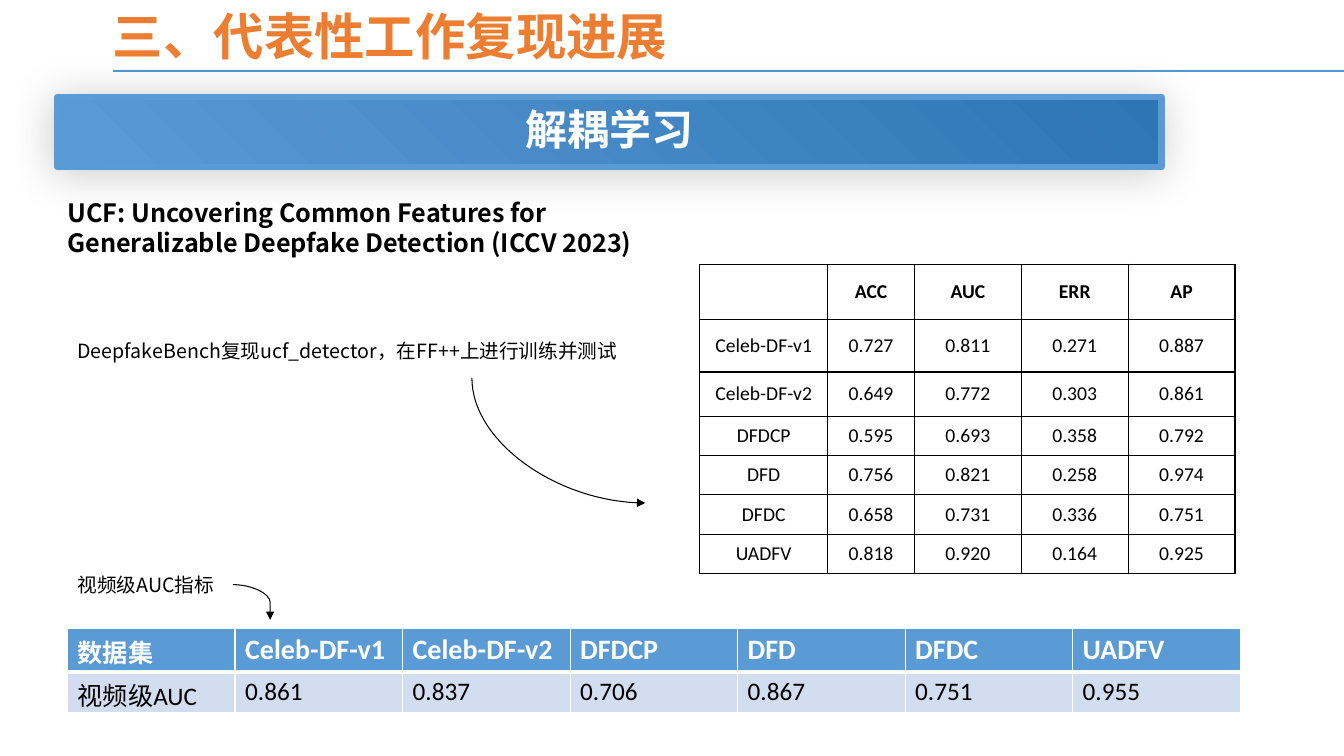
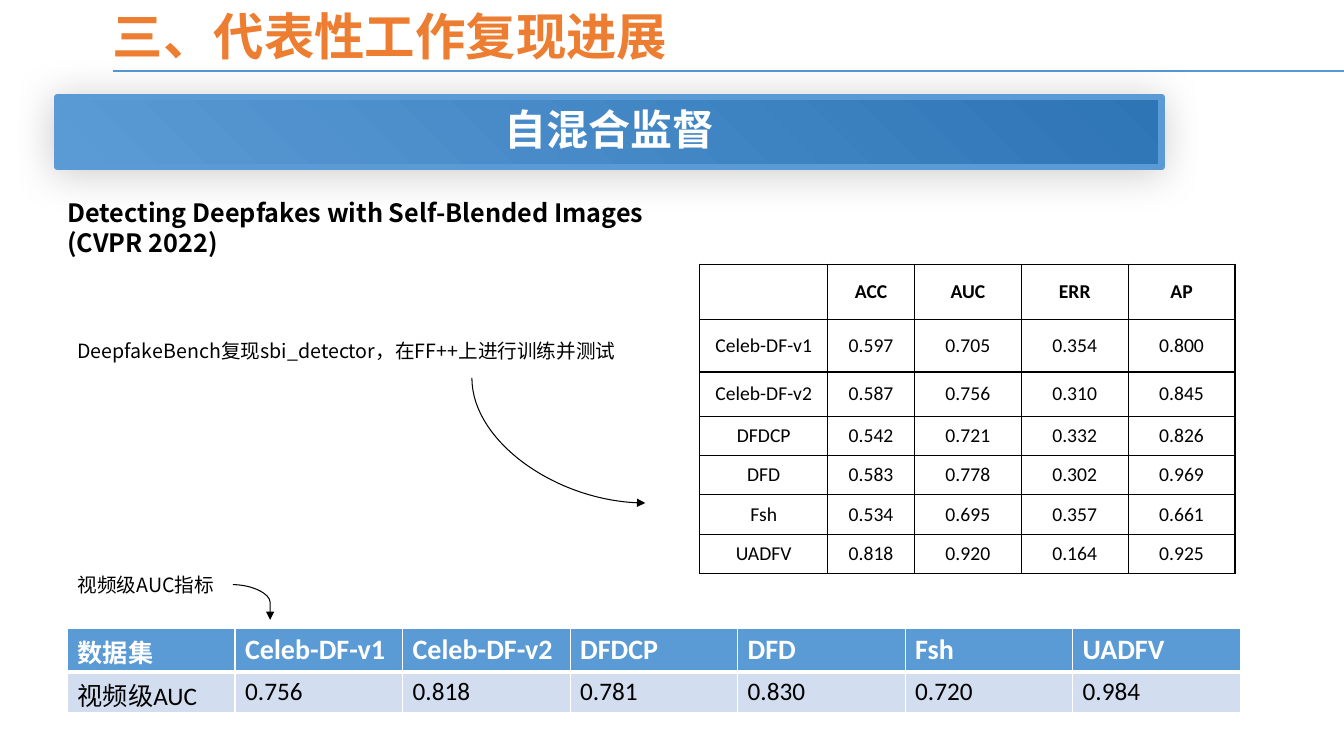
from dataclasses import dataclass
from typing import NamedTuple

from lxml.etree import SubElement
from pptx import Presentation
from pptx.dml.color import RGBColor
from pptx.enum.shapes import MSO_CONNECTOR as Link, MSO_SHAPE as Preset
from pptx.enum.text import MSO_ANCHOR as Anchor, MSO_AUTO_SIZE as AutoSize, PP_ALIGN as Align
from pptx.oxml.ns import qn
from pptx.util import Inches, Pt


@dataclass(frozen=True)
class Theme:
    """Colours, fonts and type sizes of the deck."""
    orange: str = "ED7D31"
    rule: str = "5698D3"
    blue: str = "5B9BD5"
    deep_blue: str = "2E75B6"
    pale_blue: str = "D2DEEF"
    white: str = "FFFFFF"
    black: str = "000000"
    title_font: str = "Arial"
    body_font: str = "Noto Sans CJK SC"
    table_font: str = "Calibri"
    title: int = 36
    band: int = 30
    dataset: int = 20
    paper: int = 18
    note: int = 14


THEME = Theme()


class Box(NamedTuple):
    """A region in inches."""
    left: float
    top: float
    width: float
    height: float

    def emu(self):
        """Return the four lengths for python-pptx."""
        return [Inches(length) for length in self]


@dataclass(frozen=True)
class Work:
    """One reproduced paper and its results."""
    topic: str
    paper: str
    detector: str
    datasets: list
    metrics: list
    video_auc: list


TITLE = "三、代表性工作复现进展"
METRICS = ["ACC", "AUC", "ERR", "AP"]
METRIC_COLUMNS = [1.27, 0.86, 1.06, 1.06, 1.06]
METRIC_ROWS = [0.55, 0.52, 0.44] + [0.39] * 4
UADFV = ["0.818", "0.920", "0.164", "0.925"]
WORKS = [
    Work(
        "解耦学习",
        "UCF: Uncovering Common Features for Generalizable Deepfake Detection (ICCV 2023)",
        "ucf_detector",
        ["Celeb-DF-v1", "Celeb-DF-v2", "DFDCP", "DFD", "DFDC", "UADFV"],
        [["0.727", "0.811", "0.271", "0.887"],
         ["0.649", "0.772", "0.303", "0.861"],
         ["0.595", "0.693", "0.358", "0.792"],
         ["0.756", "0.821", "0.258", "0.974"],
         ["0.658", "0.731", "0.336", "0.751"],
         UADFV],
        ["0.861", "0.837", "0.706", "0.867", "0.751", "0.955"],
    ),
    Work(
        "自混合监督",
        "Detecting Deepfakes with Self-Blended Images (CVPR 2022)",
        "sbi_detector",
        ["Celeb-DF-v1", "Celeb-DF-v2", "DFDCP", "DFD", "Fsh", "UADFV"],
        [["0.597", "0.705", "0.354", "0.800"],
         ["0.587", "0.756", "0.310", "0.845"],
         ["0.542", "0.721", "0.332", "0.826"],
         ["0.583", "0.778", "0.302", "0.969"],
         ["0.534", "0.695", "0.357", "0.661"],
         UADFV],
        ["0.756", "0.818", "0.781", "0.830", "0.720", "0.984"],
    ),
]


def rgb(colour):
    """Turn a theme colour into an RGBColor."""
    return RGBColor.from_string(colour)


def write(frame, words, size, font, colour, bold=False, align=Align.LEFT):
    """Put one formatted paragraph into a text frame."""
    paragraph = frame.paragraphs[0]
    paragraph.text = words
    paragraph.alignment = align
    for run in paragraph.runs:
        run.font.size = Pt(size)
        run.font.name = font
        run.font.bold = bold
        run.font.color.rgb = rgb(colour)
        SubElement(run.font._element, qn("a:ea"), typeface=THEME.body_font)
    return paragraph


def add_label(slide, box, words, size, font, colour, bold=False):
    """Add a wrapping text box that grows with its text."""
    frame = slide.shapes.add_textbox(*box.emu()).text_frame
    frame.word_wrap = True
    frame.auto_size = AutoSize.SHAPE_TO_FIT_TEXT
    return write(frame, words, size, font, colour, bold)


def add_line(slide, kind, start, end, colour, weight):
    """Add a connector without shadow between two points."""
    line = slide.shapes.add_connector(kind, *[Inches(length) for length in (*start, *end)])
    line.line.color.rgb = rgb(colour)
    line.line.width = Pt(weight)
    SubElement(line.element.spPr, qn("a:effectLst"))
    return line


def add_arrow(slide, start, end):
    """Add a thin black curve with an arrowhead at its end."""
    arrow = add_line(slide, Link.CURVE, start, end, THEME.black, 0.75)
    SubElement(arrow.line._get_or_add_ln(), qn("a:tailEnd"), type="triangle")
    return arrow


def add_drop_arrow(slide, box):
    """Curve down from the top left corner of the box to its bottom right."""
    middle_x, middle_y = box.left + box.width / 2, box.top + box.height / 2
    half_x, half_y = box.height / 2, box.width / 2
    arrow = add_arrow(slide, (middle_x + half_x, middle_y - half_y),
                      (middle_x - half_x, middle_y + half_y))
    properties = arrow.element.spPr
    properties.find(qn("a:xfrm")).set("rot", str(270 * 60000))
    properties.find(qn("a:prstGeom")).set("prst", "curvedConnector2")


def add_hook_arrow(slide, box):
    """Curve right along the box and turn down at its right edge."""
    arrow = add_arrow(slide, (box.left, box.top),
                      (box.left + box.width, box.top + box.height))
    guides = arrow.element.spPr.find(qn("a:prstGeom")).get_or_add_avLst()
    SubElement(guides, qn("a:gd"), name="adj1", fmla="val 100000")


def set_borders(cell, colour, bottom_weight=1):
    """Draw the four borders of a cell."""
    properties = cell._tc.get_or_add_tcPr()
    for side, weight in (("L", 1), ("R", 1), ("T", 1), ("B", bottom_weight)):
        border = SubElement(properties, qn(f"a:ln{side}"), w=str(Pt(weight)))
        solid = SubElement(border, qn("a:solidFill"))
        SubElement(solid, qn("a:srgbClr"), val=colour)


def add_grid(slide, box, columns, rows):
    """Add an unstyled table with the given column widths and row heights."""
    frame = slide.shapes.add_table(len(rows), len(columns), *box.emu())
    table = frame.table
    table.first_row = table.horz_banding = False
    for column, width in zip(table.columns, columns):
        column.width = Inches(width)
    for row, height in zip(table.rows, rows):
        row.height = Inches(height)
    return table


def add_header(slide, box):
    """Add the section title and the rule below it."""
    add_label(slide, box, TITLE, THEME.title, THEME.title_font, THEME.orange, True)
    rule_y = box.top + 0.7
    add_line(slide, Link.STRAIGHT, (box.left + 0.1, rule_y),
             (box.left + box.width, rule_y), THEME.rule, 1.5)


def add_band(slide, box, topic):
    """Add the gradient band that names the topic."""
    band = slide.shapes.add_shape(Preset.RECTANGLE, *box.emu())
    band.fill.gradient()
    band.fill.gradient_angle = 225
    for stop, colour in zip(band.fill.gradient_stops, (THEME.deep_blue, THEME.blue)):
        stop.color.rgb = rgb(colour)
        stop.position = 0 if colour == THEME.deep_blue else 1
    band.line.color.rgb = rgb(THEME.blue)
    band.line.width = Pt(4.5)
    band.shadow.inherit = False
    effects = band.element.spPr.find(qn("a:effectLst"))
    shadow = SubElement(effects, qn("a:outerShdw"), blurRad=str(Pt(30)), dist=str(Pt(3)),
                        dir=str(135 * 60000), algn="tr", rotWithShape="0")
    tint = SubElement(shadow, qn("a:srgbClr"), val=THEME.black)
    SubElement(tint, qn("a:alpha"), val="20000")
    band.text_frame.vertical_anchor = Anchor.MIDDLE
    heading = write(band.text_frame, topic, THEME.band, THEME.body_font,
                    THEME.white, True, Align.CENTER)
    heading.line_spacing = 0.9


def add_training_note(slide, box, detector):
    """Add the training note and its arrow towards the metrics."""
    add_label(slide, box, f"DeepfakeBench复现{detector}，在FF++上进行训练并测试",
              THEME.note, THEME.body_font, THEME.black)
    add_drop_arrow(slide, Box(box.left + 4.01, box.top + 0.44, 1.72, 1.24))


def add_metrics(slide, box, work):
    """Add the table of metrics per dataset."""
    table = add_grid(slide, box, METRIC_COLUMNS, METRIC_ROWS)
    results = [[name, *values] for name, values in zip(work.datasets, work.metrics)]
    for row, values in enumerate([["", *METRICS], *results]):
        for column, value in enumerate(values):
            cell = table.cell(row, column)
            set_borders(cell, THEME.black)
            cell.fill.solid()
            cell.fill.fore_color.rgb = rgb(THEME.white)
            cell.vertical_anchor = Anchor.MIDDLE
            cell.margin_left = cell.margin_right = Inches(0.11)
            write(cell.text_frame, value, THEME.note, THEME.table_font,
                  THEME.black, row == 0, Align.CENTER)


def add_video_auc(slide, box, work):
    """Add the video-level AUC label, its arrow and its table."""
    add_label(slide, Box(box.left, box.top, 6.72, 0.34), "视频级AUC指标",
              THEME.note, THEME.body_font, THEME.black)
    add_hook_arrow(slide, Box(box.left + 1.64, box.top + 0.17, 0.37, 0.35))
    lines = [["数据集", *work.datasets], ["视频级AUC", *work.video_auc]]
    count = len(lines[0])
    table = add_grid(slide, Box(box.left, box.top + 0.6, box.width, 0.82),
                     [box.width / count] * count, [0.41] * 2)
    for row, values in enumerate(lines):
        head = row == 0
        for column, value in enumerate(values):
            cell = table.cell(row, column)
            set_borders(cell, THEME.white, 3 if head else 1)
            cell.fill.solid()
            cell.fill.fore_color.rgb = rgb(THEME.blue if head else THEME.pale_blue)
            write(cell.text_frame, value,
                  THEME.dataset if head and column else THEME.paper, THEME.table_font,
                  THEME.white if head else THEME.black, head)


def add_work_slide(deck, work):
    """Add the slide that reports one reproduced work."""
    slide = deck.slides.add_slide(deck.slide_layouts[6])
    add_header(slide, Box(1.02, 0, 12.31, 0.71))
    add_band(slide, Box(0.57, 0.96, 10.95, 0.7), work.topic)
    paper = add_label(slide, Box(0.57, 1.91, 6.51, 0.71), work.paper,
                      THEME.paper, THEME.body_font, THEME.black, True)
    paper.space_after = Pt(12)
    add_training_note(slide, Box(0.67, 3.31, 6.51, 0.34), work.detector)
    add_metrics(slide, Box(6.94, 2.62, 5.31, 3.08), work)
    add_video_auc(slide, Box(0.67, 5.63, 11.63, 1.45), work)


def main():
    """Build the deck and save it."""
    deck = Presentation()
    deck.slide_width, deck.slide_height = Inches(13.33), Inches(7.5)
    for work in WORKS:
        add_work_slide(deck, work)
    deck.save("out.pptx")


if __name__ == "__main__":
    main()
